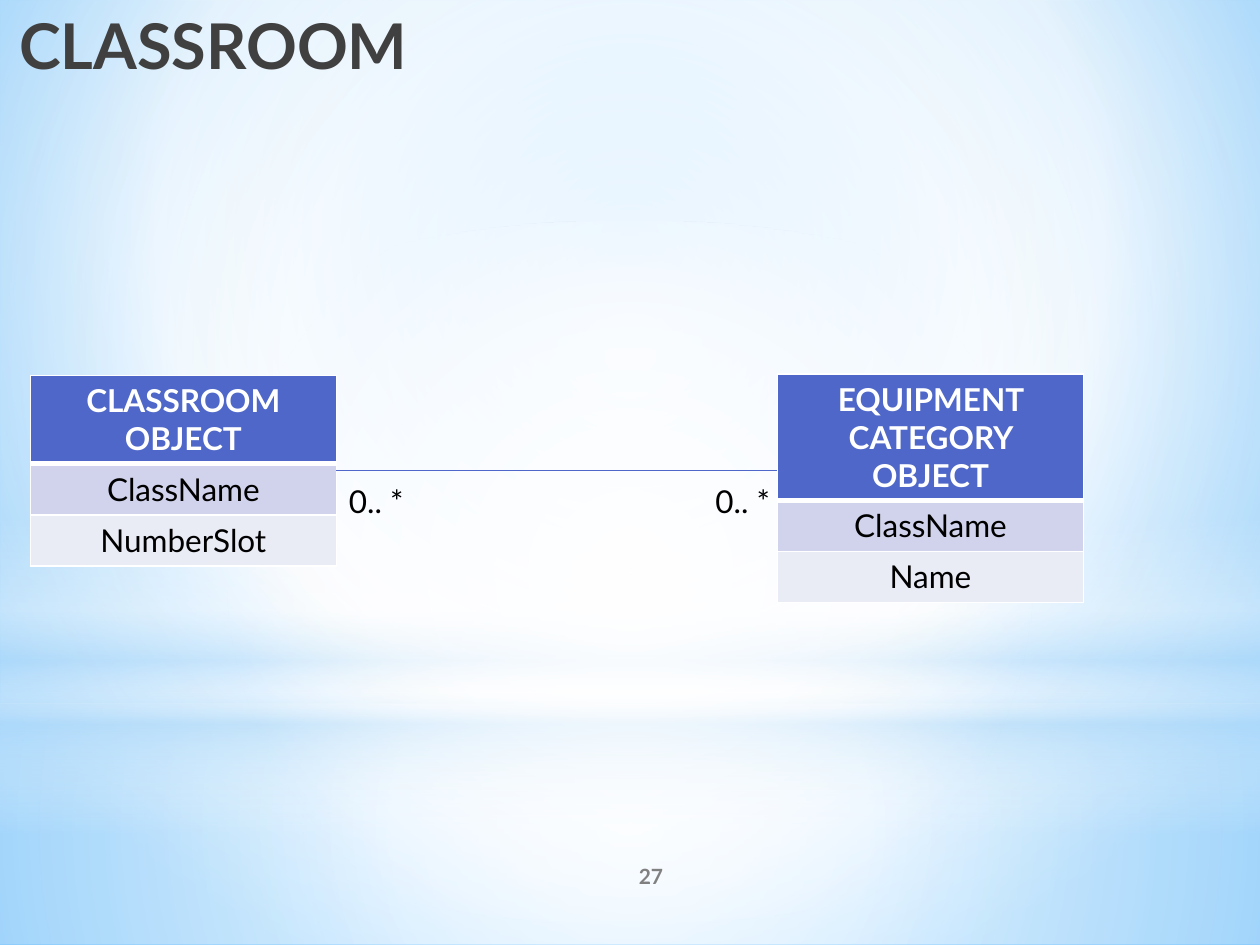
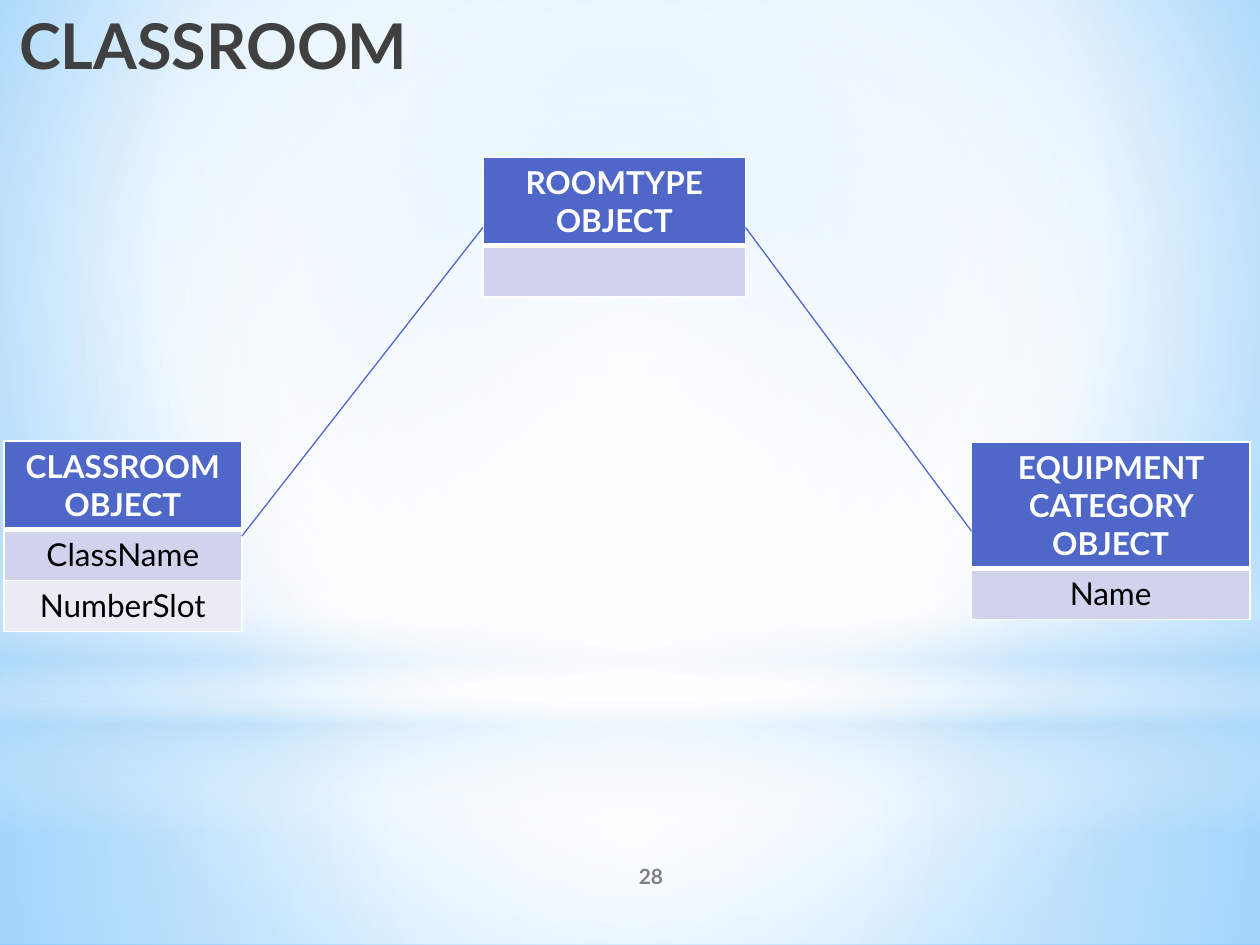
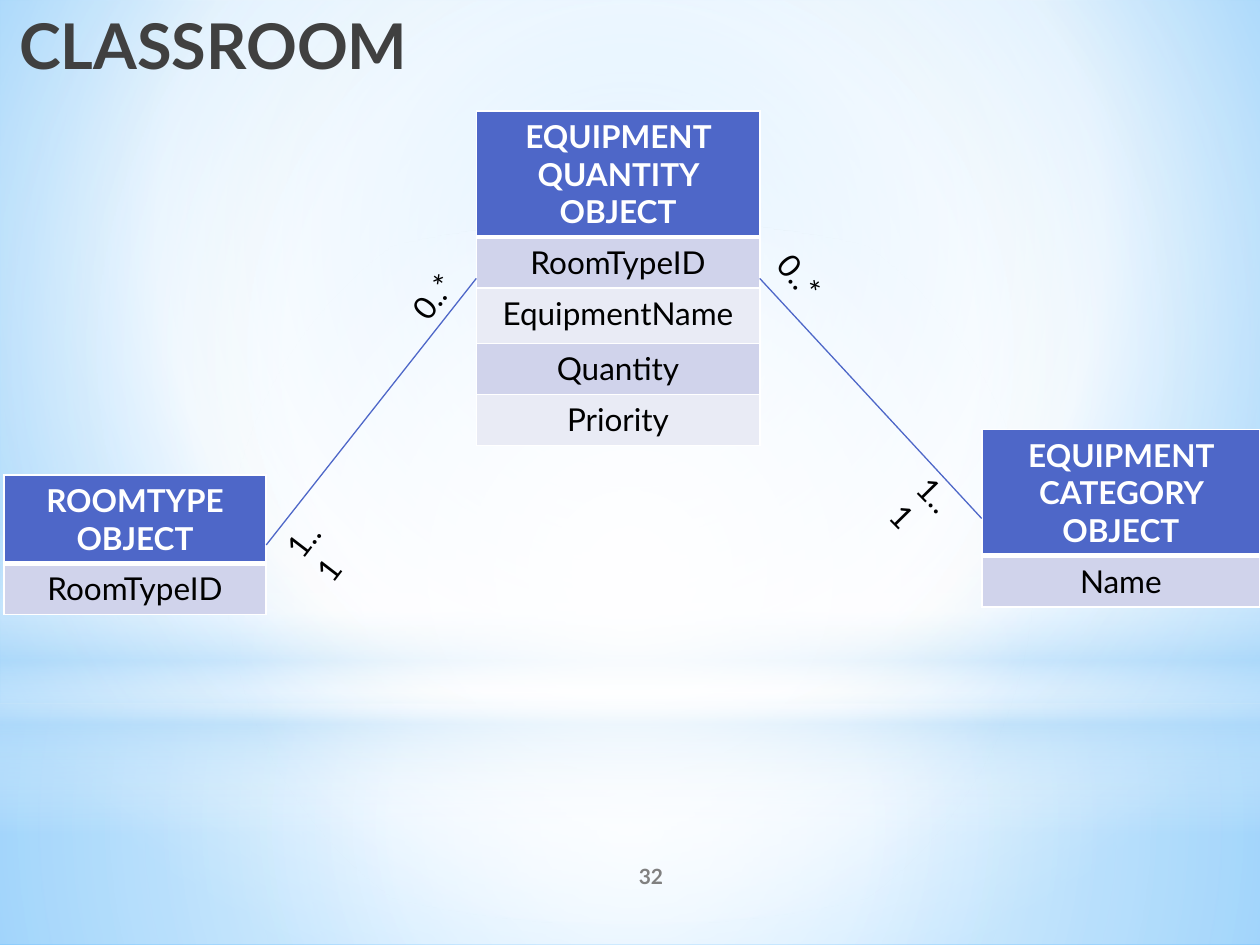
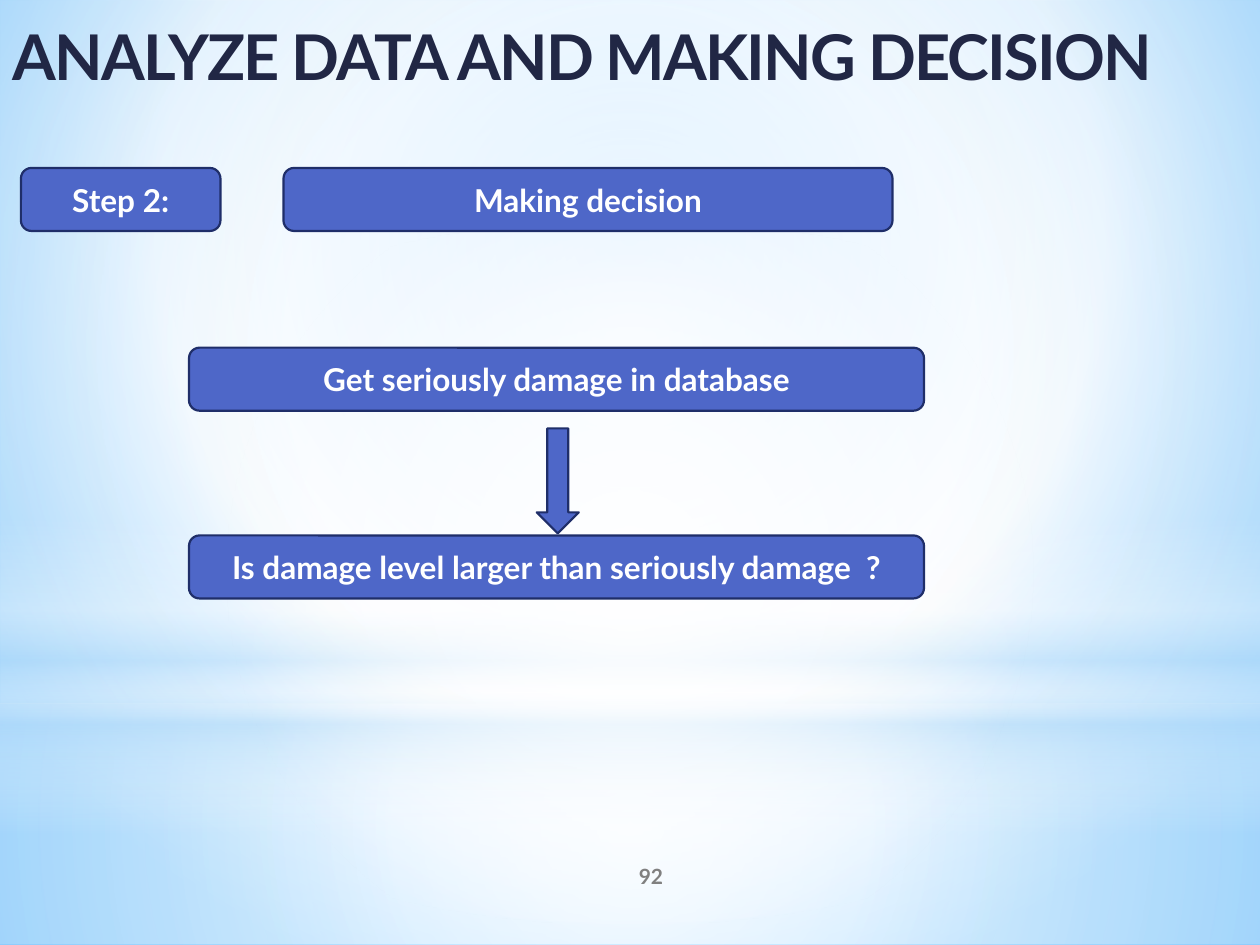
from lxml.etree import SubElement
from pptx import Presentation
from pptx.dml.color import RGBColor
from pptx.enum.shapes import MSO_CONNECTOR, MSO_SHAPE
from pptx.enum.text import MSO_ANCHOR, MSO_AUTO_SIZE, PP_ALIGN
from pptx.oxml.ns import qn
from pptx.util import Pt

FONT = "Lato"
BLACK = RGBColor(0x00, 0x00, 0x00)
WHITE = RGBColor(0xFF, 0xFF, 0xFF)
CHARCOAL = RGBColor(0x40, 0x40, 0x40)
GRAY = RGBColor(0x80, 0x80, 0x80)
NAVY = RGBColor(0x21, 0x27, 0x45)
BLUE = RGBColor(0x4E, 0x67, 0xC8)
DARK_BLUE = RGBColor(0x1F, 0x2E, 0x69)
LAVENDER = RGBColor(0xD0, 0xD3, 0xEB)
PALE_LAVENDER = RGBColor(0xE9, 0xEB, 0xF5)
SKY = RGBColor(0x9E, 0xD5, 0xFF)
DEEP_SKY = RGBColor(0x5B, 0xB9, 0xFF)
MIST = RGBColor(0xB4, 0xDC, 0xFA)

PAGE_WIDTH, PAGE_HEIGHT = 720, 540
ROW_HEIGHT = 29.2
TOP, LEFT, BOTTOM, RIGHT = range(4)
CENTER = (50, 50, 50, 50)

# Gradient stops are (position, colour, opacity), all in percent.
BACKGROUND_STOPS = [(0, SKY, 100), (60, WHITE, 100), (100, DEEP_SKY, 100)]
TITLE_STOPS = [(0, BLACK, 100), (40, CHARCOAL, 100), (100, NAVY, 65)]
GLOWS = [
    (MSO_SHAPE.RECTANGLE, 402, 138, CENTER,
     [(0, WHITE, 91), (37, WHITE, 76), (100, MIST, 79)]),
    (MSO_SHAPE.RECTANGLE, 0, 402, CENTER,
     [(0, WHITE, 89), (48, WHITE, 62), (100, MIST, 79)]),
    (MSO_SHAPE.RECTANGLE, 296.64, 180, None,
     [(0, WHITE, 0), (29, WHITE, 30), (45, MIST, 40), (55, WHITE, 26),
      (65, MIST, 60), (100, WHITE, 0)]),
    (MSO_SHAPE.OVAL, 126, 402, CENTER,
     [(0, WHITE, 100), (56, WHITE, 0)]),
]


def set_gradient(fill, owner, stops, focus=None):
    """Give fill, found inside owner, a circular gradient, or a vertical one without focus."""
    fill.gradient()
    gradient = owner.find(".//" + qn("a:gradFill"))
    for child in list(gradient):
        gradient.remove(child)
    stop_list = SubElement(gradient, qn("a:gsLst"))
    for position, color, opacity in stops:
        stop = SubElement(stop_list, qn("a:gs"), pos=str(position * 1000))
        tint = SubElement(stop, qn("a:srgbClr"), val=str(color))
        if opacity < 100:
            SubElement(tint, qn("a:alpha"), val=str(opacity * 1000))
    if focus:
        circle = SubElement(gradient, qn("a:path"), path="circle")
        sides = {side: str(part * 1000) for side, part in zip("ltrb", focus)}
        SubElement(circle, qn("a:fillToRect"), **sides)
    else:
        SubElement(gradient, qn("a:lin"), ang="5400000", scaled="0")


def set_borders(cell, bottom_width):
    properties = cell._tc.get_or_add_tcPr()
    for side, width in (("L", 1), ("R", 1), ("T", 1), ("B", bottom_width)):
        border = SubElement(properties, qn("a:ln" + side), w=str(Pt(width)))
        fill = SubElement(border, qn("a:solidFill"))
        SubElement(fill, qn("a:srgbClr"), val=str(WHITE))


class DeckBuilder:
    def __init__(self):
        self.deck = Presentation()
        self.deck.slide_width = Pt(PAGE_WIDTH)
        self.deck.slide_height = Pt(PAGE_HEIGHT)
        self.page = None

    def add_page(self, number):
        self.page = self.deck.slides.add_slide(self.deck.slide_layouts[6])
        if len(self.deck.slides) == 1:
            self.style_master()
        box = self.text(300, 486, 144, 28.8, str(number), size=12, color=GRAY,
                        bold=True, align=PP_ALIGN.CENTER)
        box.text_frame.vertical_anchor = MSO_ANCHOR.MIDDLE

    def style_master(self):
        """Set the shared background and move the glows from the first page to the master."""
        master = self.deck.slide_master
        set_gradient(master.background.fill, master.element, BACKGROUND_STOPS,
                     (20, 10, 20, 60))
        for index, (kind, top, height, focus, stops) in enumerate(GLOWS):
            glow = self.page.shapes.add_shape(
                kind, 0, Pt(top), Pt(PAGE_WIDTH), Pt(height))
            glow.shadow.inherit = False
            glow.line.fill.background()
            set_gradient(glow.fill, glow._element, stops, focus)
            glow._element.nvSpPr.cNvPr.set("id", str(20 + index))
            master.shapes._spTree.insert(2 + index, glow._element)

    def set_text(self, frame, words, size=18, color=BLACK, bold=False, align=None):
        frame.text = words
        para = frame.paragraphs[0]
        para.alignment = align
        for span in para.runs:
            span.font.name = FONT
            span.font.size = Pt(size)
            span.font.bold = bold
            span.font.color.rgb = color

    def text(self, left, top, width, height, words, **style):
        box = self.page.shapes.add_textbox(Pt(left), Pt(top), Pt(width), Pt(height))
        box.text_frame.word_wrap = True
        self.set_text(box.text_frame, words, **style)
        return box

    def classroom_title(self):
        box = self.text(0, 0, 240, 63.36, "CLASSROOM", size=36, bold=True,
                        align=PP_ALIGN.RIGHT)
        span = box.text_frame.paragraphs[0].runs[0]
        set_gradient(span.font.fill, span._r, TITLE_STOPS)

    def wide_title(self, words):
        box = self.text(0, 0, 666, 63.36, words, size=36, color=NAVY, bold=True)
        box.text_frame.vertical_anchor = MSO_ANCHOR.MIDDLE
        span = box.text_frame.paragraphs[0].runs[0]
        span._r.get_or_add_rPr().set("spc", "-100")

    def multiplicity(self, left, top, width, words, rotation=0):
        box = self.text(left, top, width, 28.8, words)
        box.rotation = rotation
        box.text_frame.word_wrap = not rotation
        box.text_frame.auto_size = MSO_AUTO_SIZE.SHAPE_TO_FIT_TEXT

    def entity(self, left, top, width, height, name, *fields, row_heights=None):
        """Add a one-column table; row_heights maps row index to a special height."""
        row_heights = row_heights or {}
        frame = self.page.shapes.add_table(
            1 + len(fields), 1, Pt(left), Pt(top), Pt(width), Pt(height))
        for index, words in enumerate((name, *fields)):
            frame.table.rows[index].height = Pt(row_heights.get(index, ROW_HEIGHT))
            cell = frame.table.cell(index, 0)
            is_header = index == 0
            set_borders(cell, 3 if is_header else 1)
            cell.fill.solid()
            cell.fill.fore_color.rgb = (
                BLUE if is_header else LAVENDER if index % 2 else PALE_LAVENDER)
            self.set_text(cell.text_frame, words, color=WHITE if is_header else BLACK,
                          bold=is_header, align=PP_ALIGN.CENTER)
        # The header grows with its wrapped name, so the frame is taller than its rows.
        frame.height = Pt(height)
        return frame

    def relation(self, start, end):
        """Join the right side of start to the left side of end."""
        line = self.page.shapes.add_connector(MSO_CONNECTOR.STRAIGHT, 0, 0, 0, 0)
        line.begin_connect(start, RIGHT)
        line.end_connect(end, LEFT)
        line.line.color.rgb = BLUE
        line.line.width = Pt(0.75)
        SubElement(line._element.spPr, qn("a:effectLst"))

    def block(self, kind, left, top, width, height, words=""):
        shape = self.page.shapes.add_shape(
            kind, Pt(left), Pt(top), Pt(width), Pt(height))
        shape.shadow.inherit = False
        shape.fill.solid()
        shape.fill.fore_color.rgb = BLUE
        shape.line.color.rgb = DARK_BLUE
        shape.line.width = Pt(1.25)
        if words:
            shape.text_frame.vertical_anchor = MSO_ANCHOR.MIDDLE
            self.set_text(shape.text_frame, words, color=WHITE, bold=True,
                          align=PP_ALIGN.CENTER)

    def step(self, left, top, width, words):
        self.block(MSO_SHAPE.ROUNDED_RECTANGLE, left, top, width, 36, words)


def add_direct_relation(builder):
    builder.add_page(27)
    classroom = builder.entity(17.28, 214.56, 174.96, 108.72, "CLASSROOM OBJECT",
                               "ClassName", "NumberSlot")
    category = builder.entity(444.24, 213.84, 174.96, 110.16,
                              "EQUIPMENT CATEGORY OBJECT", "ClassName", "Name",
                              row_heights={0: 51.84})
    builder.relation(classroom, category)
    builder.classroom_title()
    for left in (401.76, 192.24):
        builder.multiplicity(left, 272.16, 54, "0.. *")


def add_room_type(builder):
    builder.add_page(28)
    room_type = builder.entity(276, 90, 150, 79.92, "ROOMTYPE OBJECT", "")
    classroom = builder.entity(2.16, 252, 136.08, 108.72, "CLASSROOM OBJECT",
                               "ClassName", "NumberSlot")
    category = builder.entity(555.12, 252.72, 159.12, 101.52,
                              "EQUIPMENT CATEGORY OBJECT", "Name")
    builder.relation(classroom, room_type)
    builder.relation(room_type, category)
    builder.classroom_title()


def add_equipment_quantity(builder):
    builder.add_page(32)
    room_type = builder.entity(2.16, 271.44, 150, 79.92, "ROOMTYPE OBJECT",
                               "RoomTypeID")
    category = builder.entity(561, 245.52, 159, 101.52,
                              "EQUIPMENT CATEGORY OBJECT", "Name")
    quantity = builder.entity(272.16, 63.36, 162, 191.52,
                              "EQUIPMENT QUANTITY OBJECT", "RoomTypeID",
                              "EquipmentName", "Quantity", "Priority",
                              row_heights={2: 31.68})
    builder.relation(room_type, quantity)
    builder.relation(quantity, category)
    for left, top, words, rotation in (
            (154.8, 290.88, "1..1", 307.6),
            (226.8, 154.8, "0..*", 308),
            (436.32, 144, "0..*", 49.9),
            (516.24, 271.44, "1..1", 45.4)):
        builder.multiplicity(left, top, 41.76, words, rotation)
    builder.classroom_title()


def add_decision(builder):
    builder.add_page(92)
    builder.wide_title("ANALYZE DATA AND MAKING DECISION")
    builder.step(12, 96, 114, "Step 2:")
    builder.step(162, 96, 348, "Making decision")
    builder.step(108, 198.72, 420, "Get seriously damage in database")
    builder.step(108, 306, 420, "Is damage level larger than seriously damage  ?")
    builder.block(MSO_SHAPE.DOWN_ARROW, 306.72, 244.8, 24, 60)


def main():
    builder = DeckBuilder()
    add_direct_relation(builder)
    add_room_type(builder)
    add_equipment_quantity(builder)
    add_decision(builder)
    builder.deck.save("out.pptx")


if __name__ == "__main__":
    main()
